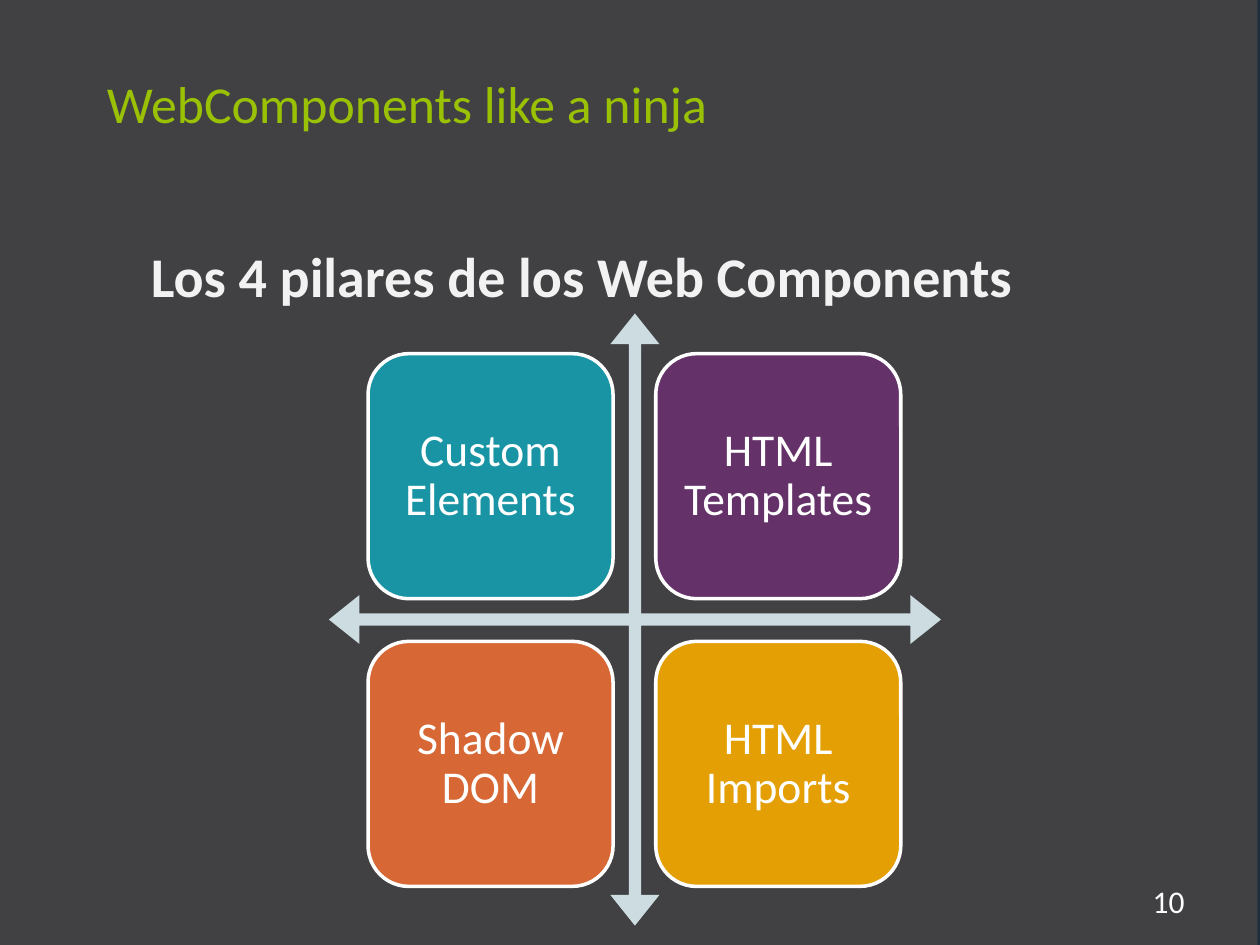
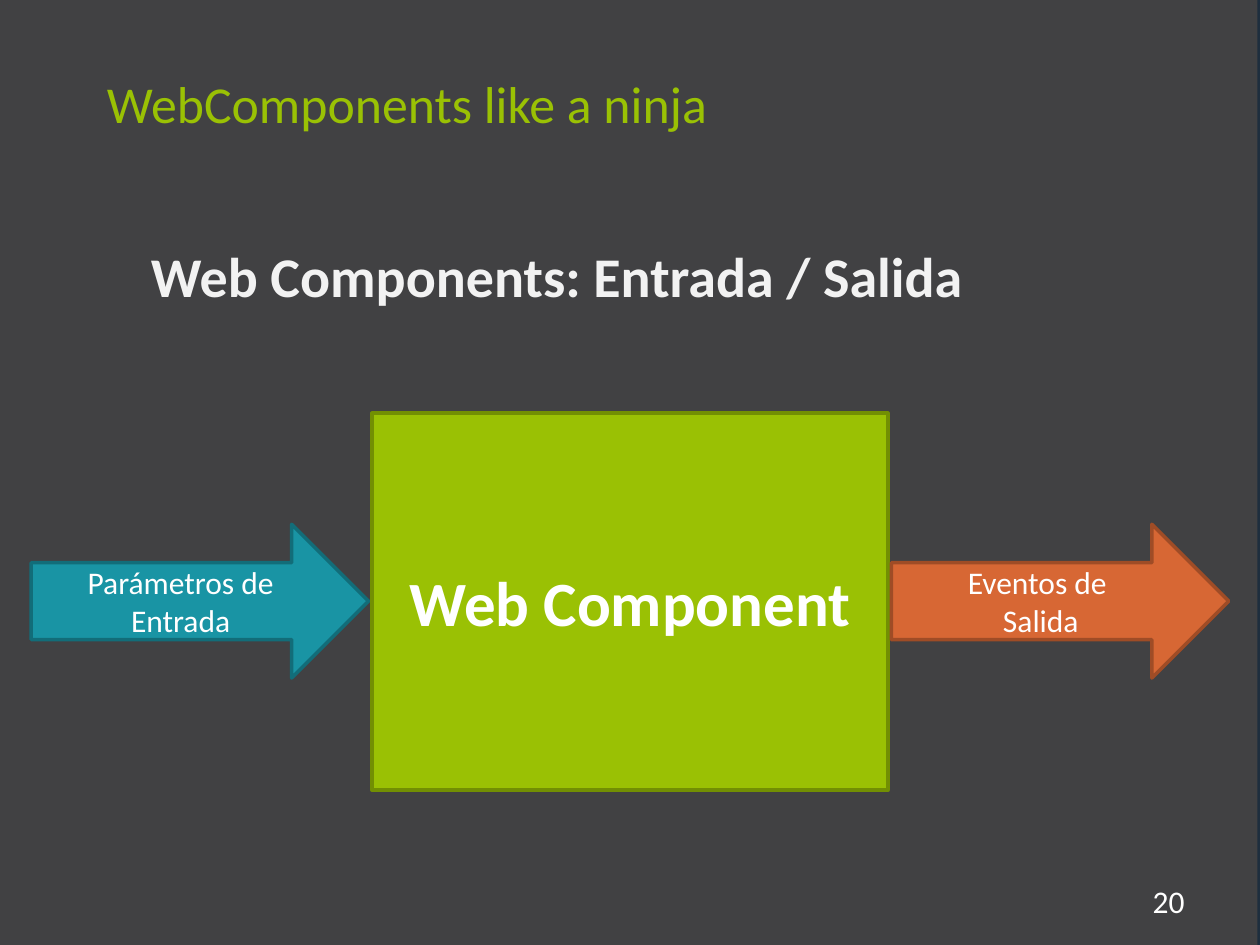
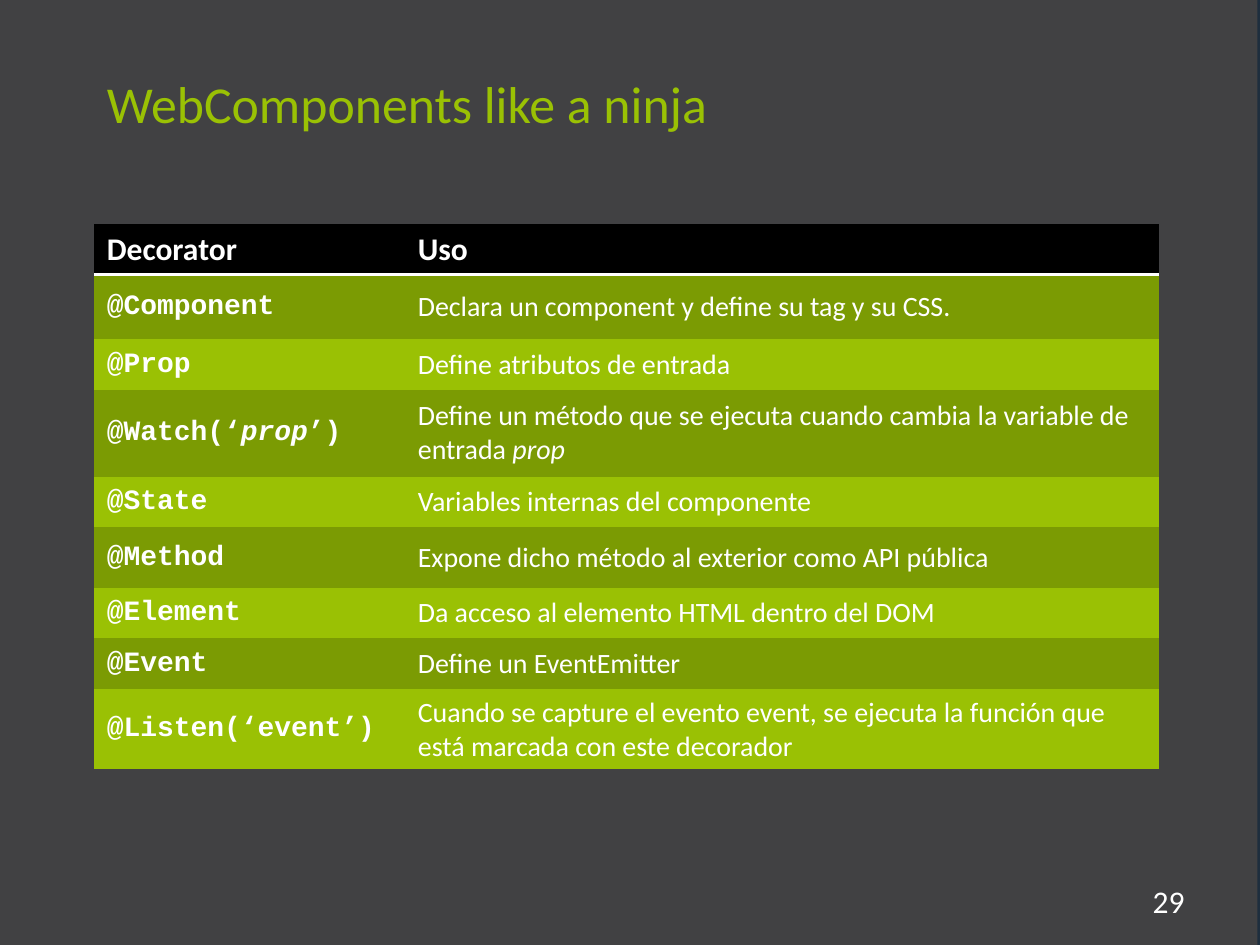
import pptx
import pptx.util
import pptx.dml.color
import pptx.enum.shapes
import pptx.enum.text
import pptx.oxml
import pptx.oxml.ns

Cm = pptx.util.Cm
Pt = pptx.util.Pt
SHAPE = pptx.enum.shapes.MSO_SHAPE
ALIGN = pptx.enum.text.PP_ALIGN
ANCHOR = pptx.enum.text.MSO_ANCHOR

COLORS = {
    "navy": "1E2E3E", "charcoal": "414143", "white": "FFFFFF", "black": "000000",
    "lime": "9AC104", "olive": "7B9B03", "lime_edge": "728F03", "pale": "F2F2F2",
    "mist": "CCDCE0", "teal": "1994A4", "teal_edge": "126D79", "purple": "643269",
    "orange": "D76734", "orange_edge": "9F4C26", "amber": "E39F03",
}
NO_STYLE = "{2D5ABB26-0587-4C30-8999-92F81FD0307C}"
DECK_TITLE = "WebComponents like a ninja"


def rgb(name):
    return pptx.dml.color.RGBColor.from_string(COLORS[name])


class Deck:
    def __init__(self):
        self.prs = pptx.Presentation()
        self.prs.slide_width, self.prs.slide_height = Cm(25.4), Cm(19.05)
        self.layout = self.prs.slide_layouts[5]
        self.slide = None

    def new_slide(self, number):
        self.slide = self.prs.slides.add_slide(self.layout)
        if len(self.prs.slides) == 1:
            self.backdrop()
        sp = self.slide.shapes.title
        sp.left, sp.top, sp.width, sp.height = Cm(1.9), Cm(1.32), Cm(16.2), Cm(1.4)
        tf = sp.text_frame
        tf.auto_size = pptx.enum.text.MSO_AUTO_SIZE.NONE
        tf.vertical_anchor = ANCHOR.TOP
        self.fill_text(tf, DECK_TITLE, 29.6, "lime", ALIGN.LEFT)
        self.text(21.69, 17.65, 2.44, 1.02, str(number), 18, "white", ALIGN.RIGHT)

    def backdrop(self):
        tree = self.layout.shapes._spTree
        for i, (left, color) in enumerate([(-0.05, "navy"), (-0.1, "charcoal")]):
            panel = self.shape(SHAPE.RECTANGLE, left, 0, 25.45, 19.05, color)
            panel._element.nvSpPr.cNvPr.set("id", str(20 + i))
            tree.insert(2 + i, panel._element)

    def fill_text(self, tf, text, size, color, align=ALIGN.CENTER, bold=False, font="Calibri"):
        p = tf.paragraphs[0]
        for i, part in enumerate(text.split("*")):
            if i % 2:
                r = p.add_run()
                r.text = part
                r.font.italic = True
            elif "\v" in part:
                p.text = part
            elif part:
                p.add_run().text = part
        p.alignment = align
        p.font.name, p.font.size, p.font.bold = font, Pt(size), bold
        p.font.color.rgb = rgb(color)
        return p

    def text(self, left, top, width, height, text, size, color, align=ALIGN.LEFT, bold=False):
        sp = self.slide.shapes.add_textbox(Cm(left), Cm(top), Cm(width), Cm(height))
        sp.text_frame.word_wrap = True
        return self.fill_text(sp.text_frame, text, size, color, align, bold)

    def heading(self, text):
        p = self.text(2.31, 4.75, 22.23, 12.37, text, 32, "pale", bold=True)
        p._p.get_or_add_pPr().set("marL", str(Cm(0.48)))
        p.space_after = Pt(6)

    def shape(self, kind, left, top, width, height, fill, edge=None):
        sp = self.slide.shapes.add_shape(kind, Cm(left), Cm(top), Cm(width), Cm(height))
        sp.shadow.inherit = False
        sp.fill.solid()
        sp.fill.fore_color.rgb = rgb(fill)
        if edge:
            sp.line.color.rgb = rgb(edge)
            sp.line.width = Pt(2)
        else:
            sp.line.fill.background()
        return sp

    def tile(self, left, top, side, text, fill):
        sp = self.shape(SHAPE.ROUNDED_RECTANGLE, left, top, side, side, fill, "white")
        tf = sp.text_frame
        tf.margin_left = tf.margin_right = tf.margin_top = tf.margin_bottom = Cm(0.28)
        self.fill_text(tf, text, 26, "white").line_spacing = 0.9

    def cell(self, cell, text, size, fill, bold, font="Calibri", anchor=ANCHOR.MIDDLE):
        cell.fill.solid()
        cell.fill.fore_color.rgb = rgb(fill)
        cell.vertical_anchor = anchor
        self.fill_text(cell.text_frame, text, size, "white", ALIGN.LEFT, bold, font)

    def underline(self, cell):
        cell._tc.get_or_add_tcPr().insert(0, pptx.oxml.parse_xml(
            f'<a:lnB {pptx.oxml.ns.nsdecls("a")} w="{Pt(2)}"><a:solidFill>'
            f'<a:srgbClr val="{COLORS["white"]}"/></a:solidFill></a:lnB>'))

    def table(self, left, top, widths, heights, header, rows):
        frame = self.slide.shapes.add_table(
            len(heights), len(widths), Cm(left), Cm(top), Cm(sum(widths)), Cm(sum(heights)))
        table = frame.table
        table._tbl.tblPr[0].text = NO_STYLE
        for column, width in zip(table.columns, widths):
            column.width = Cm(width)
        for row, height in zip(table.rows, heights):
            row.height = Cm(height)
        for col, label in enumerate(header):
            self.cell(table.cell(0, col), label, 18, "black", True, anchor=ANCHOR.TOP)
            self.underline(table.cell(0, col))
        for i, (decorator, use) in enumerate(rows, 1):
            fill = "olive" if i % 2 else "lime"
            self.cell(table.cell(i, 0), decorator, 16, fill, True, "Courier New")
            self.cell(table.cell(i, 1), use, 16, fill, False)


def pillars(deck):
    deck.new_slide(10)
    deck.heading("Los 4 pilares de los Web Components")
    cross = deck.shape(SHAPE.QUAD_ARROW, 6.63, 6.32, 12.34, 12.34, "mist")
    for i, value in enumerate((0.02, 0.04, 0.05)):
        cross.adjustments[i] = value
    tiles = [("Custom Elements", "teal"), ("HTML Templates", "purple"),
             ("Shadow DOM", "orange"), ("HTML Imports", "amber")]
    for i, (text, fill) in enumerate(tiles):
        row, col = divmod(i, 2)
        deck.tile(7.42 + col * 5.8, 7.13 + row * 5.8, 4.94, text, fill)


def input_output(deck):
    deck.new_slide(20)
    deck.heading("Web Components: Entrada / Salida")
    box = deck.shape(SHAPE.RECTANGLE, 7.5, 8.33, 10.4, 7.6, "lime", "lime_edge")
    deck.fill_text(box.text_frame, "Web Component", 36, "white", bold=True)
    arrows = [(0.63, "Parámetros de Entrada", "teal"), (17.97, "Eventos de \vSalida", "orange")]
    for left, text, fill in arrows:
        arrow = deck.shape(SHAPE.RIGHT_ARROW, left, 10.57, 6.8, 3.1, fill, fill + "_edge")
        deck.fill_text(arrow.text_frame, text, 18, "white")


def decorators(deck):
    deck.new_slide(29)
    rows = [
        ("@Component", "Declara un component y define su tag y su CSS."),
        ("@Prop", "Define atributos de entrada"),
        ("@Watch(‘*prop*’)",
         "Define un método que se ejecuta cuando cambia la variable de entrada *prop*"),
        ("@State", "Variables internas del componente"),
        ("@Method", "Expone dicho método al exterior como API pública"),
        ("@Element", "Da acceso al elemento HTML dentro del DOM"),
        ("@Event", "Define un EventEmitter"),
        ("@Listen(‘event’)", "Cuando se capture el evento event, se ejecuta la función que "
                             "está marcada con este decorador"),
    ]
    heights = [1.02, 1.3, 1.02, 1.75, 1.02, 1.22, 1.02, 1.02, 1.62]
    deck.table(1.9, 4.52, [6.27, 15.19], heights, ("Decorator", "Uso"), rows)


def main():
    deck = Deck()
    pillars(deck)
    input_output(deck)
    decorators(deck)
    deck.prs.save("out.pptx")


if __name__ == "__main__":
    main()
